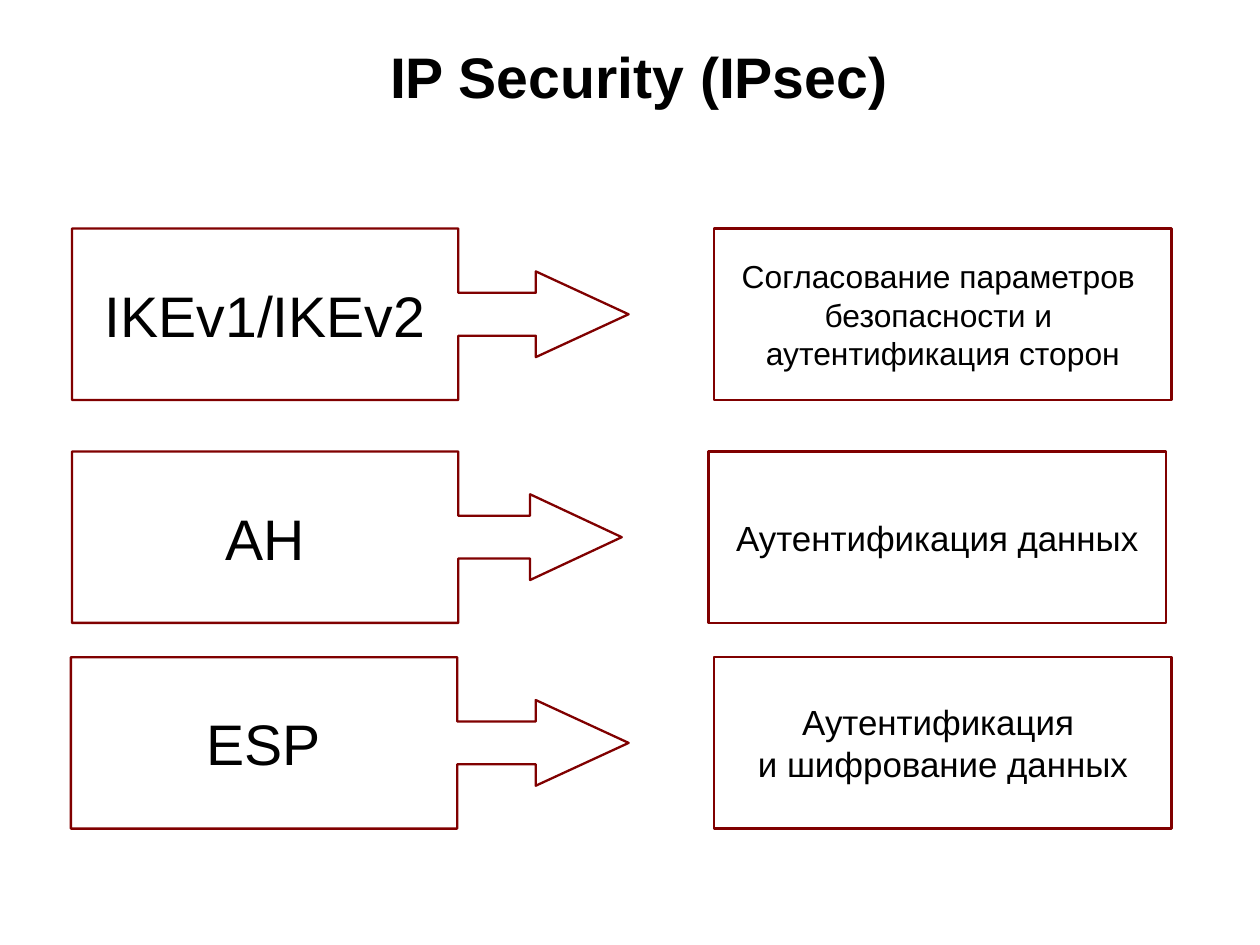
from pptx import Presentation
from pptx.dml.color import RGBColor
from pptx.enum.shapes import MSO_SHAPE
from pptx.enum.text import MSO_ANCHOR, PP_ALIGN
from pptx.util import Cm, Inches, Pt

CALLOUT = MSO_SHAPE.RIGHT_ARROW_CALLOUT
RECTANGLE = MSO_SHAPE.RECTANGLE
MIDDLE, BOTTOM = MSO_ANCHOR.MIDDLE, MSO_ANCHOR.BOTTOM
CENTER = PP_ALIGN.CENTER

FONT = "Arial"
BLACK, WHITE, MAROON = "000000", "FFFFFF", "800000"
SLIDE_WIDTH, SLIDE_HEIGHT = Cm(28), Cm(21)
ROW_HEIGHT = 1.5
LABEL_WIDTH = 3.38
MEANING_WIDTH = 4

# protocol, lines of meaning, text size, row top, callout left and width, meaning left
ROWS = [
    ("IKEv1/IKEv2",
     ["Согласование параметров ", "безопасности и ", "аутентификация сторон"],
     20, 2, 0.63, 4.87, 6.25),
    ("AH", ["Аутентификация данных"], 22, 3.95, 0.63, 4.81, 6.2),
    ("ESP", ["Аутентификация ", "и шифрование данных"], 22, 5.75, 0.62, 4.88, 6.25),
]


def color(hex_string):
    return RGBColor.from_string(hex_string)


def write_lines(frame, lines, size, anchor=MIDDLE, wrap=True, bold=False):
    frame.vertical_anchor = anchor
    frame.word_wrap = wrap
    for index, line in enumerate(lines):
        paragraph = frame.add_paragraph() if index else frame.paragraphs[0]
        paragraph.alignment = CENTER
        run = paragraph.add_run()
        run.text = line
        run.font.name = FONT
        run.font.size = Pt(size)
        run.font.bold = bold
        run.font.color.rgb = color(BLACK)


def add_outlined(slide, kind, left, top, width):
    shape = slide.shapes.add_shape(
        kind, Inches(left), Inches(top), Inches(width), Inches(ROW_HEIGHT))
    shape.shadow.inherit = False
    shape.fill.solid()
    shape.fill.fore_color.rgb = color(WHITE)
    shape.line.color.rgb = color(MAROON)
    shape.line.width = Pt(1.45)
    return shape


def add_title(slide, text, left, top, width, height):
    box = slide.shapes.add_textbox(
        Inches(left), Inches(top), Inches(width), Inches(height))
    frame = box.text_frame
    frame.margin_left = frame.margin_right = Inches(0.09)
    frame.margin_top = frame.margin_bottom = Inches(0.04)
    write_lines(frame, [text], 36, BOTTOM, bold=True)


def add_protocol(slide, name, left, top, width):
    """Label box whose arrowhead takes a sixth of the callout's width."""
    callout = add_outlined(slide, CALLOUT, left, top, width)
    callout.adjustments[0] = callout.adjustments[1] = 0.25
    callout.adjustments[2] = width / 6 / ROW_HEIGHT
    callout.adjustments[3] = LABEL_WIDTH / width
    write_lines(callout.text_frame, [name], 36, wrap=False)


def add_meaning(slide, lines, size, left, top):
    box = add_outlined(slide, RECTANGLE, left, top, MEANING_WIDTH)
    write_lines(box.text_frame, lines, size)


def main():
    presentation = Presentation()
    presentation.slide_width = SLIDE_WIDTH
    presentation.slide_height = SLIDE_HEIGHT
    slide = presentation.slides.add_slide(presentation.slide_layouts[6])
    add_title(slide, "IP Security (IPsec)", 0.43, 0.25, 10.32, 0.75)
    for name, lines, size, top, left, width, meaning_left in ROWS:
        add_protocol(slide, name, left, top, width)
        add_meaning(slide, lines, size, meaning_left, top)
    presentation.save("out.pptx")


if __name__ == "__main__":
    main()
